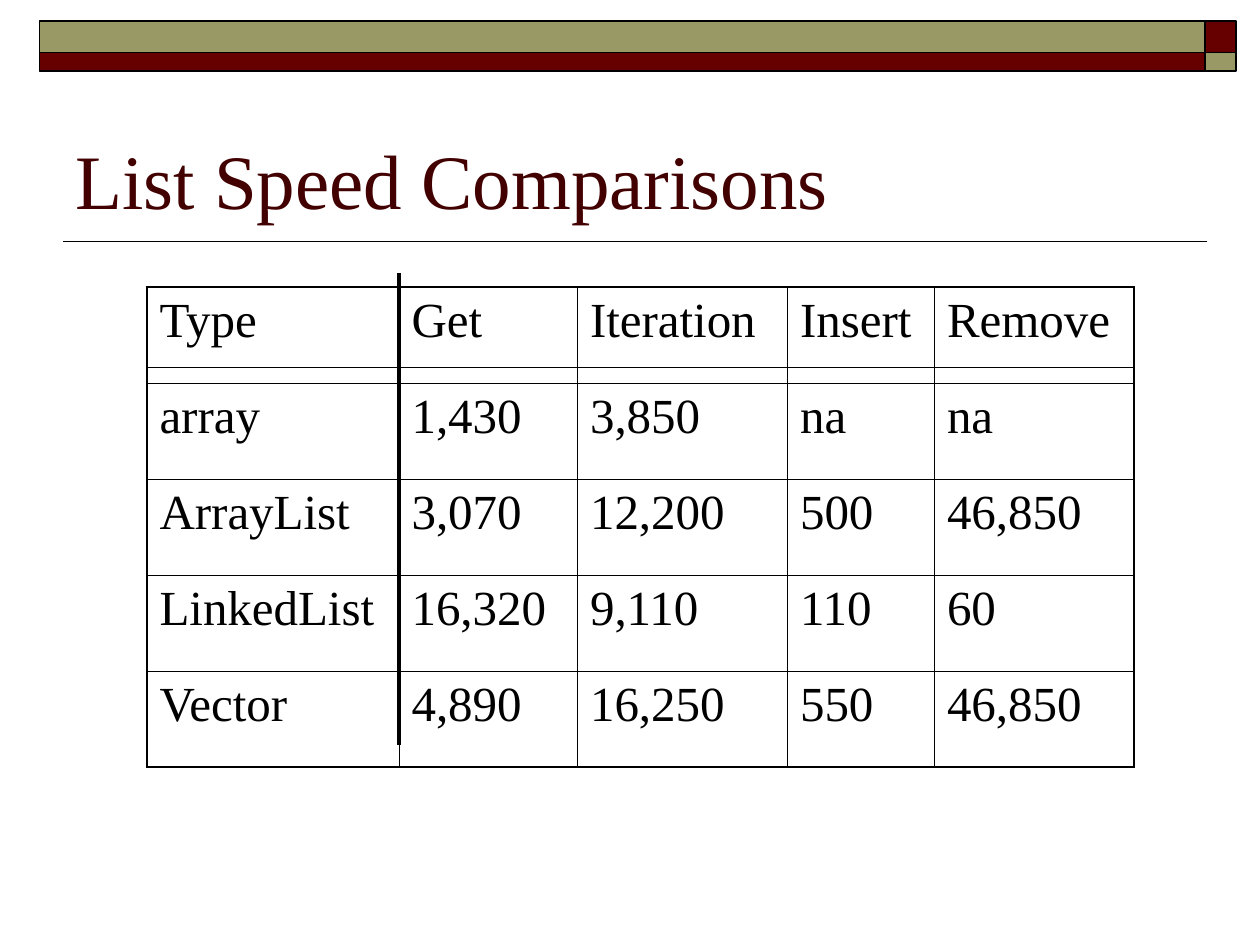
from lxml import etree
from pptx import Presentation
from pptx.dml.color import RGBColor
from pptx.enum.shapes import MSO_CONNECTOR, MSO_SHAPE
from pptx.enum.text import MSO_ANCHOR
from pptx.oxml.ns import qn
from pptx.util import Inches, Pt

STRAIGHT = MSO_CONNECTOR.STRAIGHT
RECTANGLE = MSO_SHAPE.RECTANGLE
BOTTOM = MSO_ANCHOR.BOTTOM

FONT = "Times New Roman"
BLACK, MAROON, OLIVE, TITLE_COLOR = "000000", "660000", "999966", "420000"
UNIT = Inches(1) / 12  # the slide is a grid of 120 columns by 90 rows


def grid(*counts):
    return [round(count * UNIT) for count in counts]


def rgb(color):
    return RGBColor.from_string(color)


deck = Presentation()
deck.slide_width, deck.slide_height = grid(120, 90)
slide = deck.slides.add_slide(deck.slide_layouts[6])
shapes = slide.shapes

# Header band: two rows with the colours swapped in the narrow right column
band_columns = [(114.75, 3), (3.75, 111)]
band_rows = [(2, 3, (MAROON, OLIVE)), (5, 1.8, (OLIVE, MAROON))]
for top, height, colors in band_rows:
    for (left, width), color in zip(band_columns, colors):
        band = shapes.add_shape(RECTANGLE, *grid(left, top, width, height))
        band.shadow.inherit = False
        band.fill.solid()
        band.fill.fore_color.rgb = rgb(color)
        band.line.color.rgb = rgb(BLACK)
        band.line.width = Pt(1)

# Title
title = shapes.add_textbox(*grid(6, 7, 108, 15)).text_frame
title.word_wrap = True
title.vertical_anchor = BOTTOM
title_run = title.paragraphs[0].add_run()
title_run.text = "List Speed Comparisons"
title_run.font.name = FONT
title_run.font.size = Pt(44)
title_run.font.color.rgb = rgb(TITLE_COLOR)

# Speed table
speeds = [
    ("Type", "Get", "Iteration", "Insert", "Remove"),
    ("array", "1,430", "3,850", "na", "na"),
    ("ArrayList", "3,070", "12,200", "500", "46,850"),
    ("LinkedList", "16,320", "9,110", "110", "60"),
    ("Vector", "4,890", "16,250", "550", "46,850"),
]
column_widths = [24, 17, 20, 14, 19]
row_height = 9.14
table_left, table_top, table_width = 14, 27.36, sum(column_widths)
last_row, last_column = len(speeds) - 1, len(column_widths) - 1

table = shapes.add_table(
    len(speeds), len(column_widths),
    *grid(table_left, table_top, table_width, row_height * len(speeds)),
).table
table.first_row = table.horz_banding = False
for column, width in zip(table.columns, grid(*column_widths)):
    column.width = width

for r, values in enumerate(speeds):
    table.rows[r].height = grid(row_height)[0]
    for c, value in enumerate(values):
        cell = table.cell(r, c)
        paragraph = cell.text_frame.paragraphs[0]
        paragraph.space_before = Pt(7)
        run = paragraph.add_run()
        run.text = value
        run.font.name = FONT
        run.font.size = Pt(28)
        run.font.color.rgb = rgb(BLACK)

        # Borders come before the fill, heavier around the outside
        properties = cell._tc.get_or_add_tcPr()
        outer_edges = {
            "a:lnL": c == 0,
            "a:lnR": c == last_column,
            "a:lnT": r == 0,
            "a:lnB": r == last_row,
        }
        for edge, is_outer in outer_edges.items():
            border = etree.SubElement(properties, qn(edge))
            border.set("w", str(Pt(1.08 if is_outer else 0.45)))
            ink = etree.SubElement(border, qn("a:solidFill"))
            etree.SubElement(ink, qn("a:srgbClr")).set("val", BLACK)
        cell.fill.background()

# Title rule, then the dividers after the Type column and under the headings
divider_x = table_left + column_widths[0]
rules = [
    ((115, 23, 6, 23), 1),
    ((divider_x, 26, divider_x, 71), 2.25),
    ((table_left, 35, table_left + table_width, 35), 1),
]
for ends, weight in rules:
    rule = shapes.add_connector(STRAIGHT, *grid(*ends))
    rule.line.color.rgb = rgb(BLACK)
    rule.line.width = Pt(weight)
    etree.SubElement(rule._element.spPr, qn("a:effectLst"))

deck.save("out.pptx")
